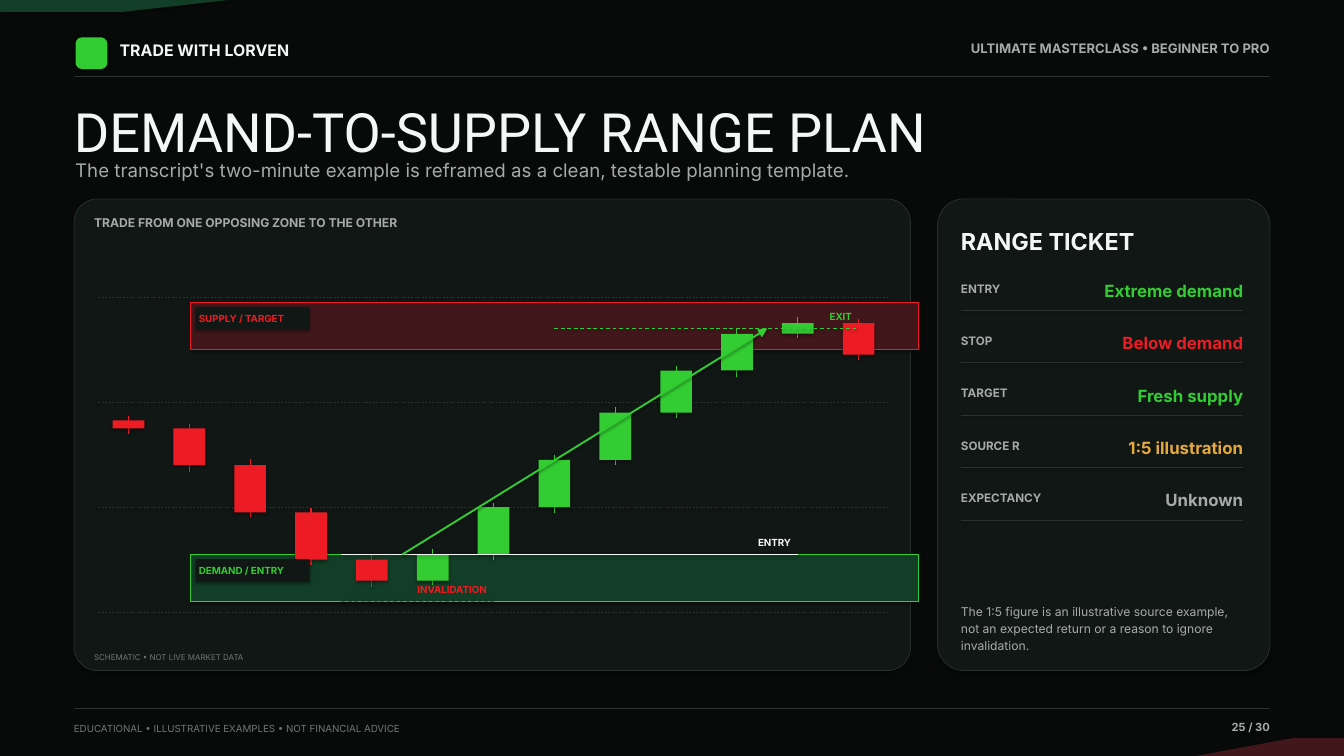
from lxml import etree
from pptx import Presentation
from pptx import util as u
from pptx.dml.color import RGBColor
from pptx.enum import dml, shapes, text
from pptx.oxml import ns

HUES = {
    "night": "070A09", "panel": "111715", "rule": "28332E",
    "white": "F5F7F6", "grey": "A6AAA8", "dim": "6F7873",
    "green": "33CC33", "red": "ED1C24", "gold": "E6A93D",
    "forest": "123D26", "wine": "42171B",
}
LEFT, RIGHT = 79.2, 1360.8
CANDLES = [
    (36.5, 35, 37.3, 34), (35, 28, 35.9, 26.7), (28, 19, 29.2, 18.2),
    (19, 10, 19.8, 9), (10, 6, 11, 4.9), (6, 11, 12.1, 5.2),
    (11, 20, 20.8, 10), (20, 29, 29.9, 18.8), (29, 38, 39.1, 28.1),
    (38, 46, 46.8, 37), (46, 53, 54, 44.8), (53, 55, 56.2, 52.2),
    (55, 49, 55.8, 48),
]
ZONES = [
    (2, 11, "DEMAND / ENTRY", "forest", "green"),
    (50, 59, "SUPPLY / TARGET", "wine", "red"),
]
LEVELS = [
    (11, 3.5, 11, "ENTRY", "white", 1.1, False),
    (2, 3.5, 6, "INVALIDATION", "red", 1, True),
    (54, 7, 12, "EXIT", "green", 1, True),
]
TICKET = [
    ("ENTRY", "Extreme demand", "green"),
    ("STOP", "Below demand", "red"),
    ("TARGET", "Fresh supply", "green"),
    ("SOURCE R", "1:5 illustration", "gold"),
    ("EXPECTANCY", "Unknown", "grey"),
]
NOTE = ("The 1:5 figure is an illustrative source example,\n"
        "not an expected return or a reason to ignore\n"
        "invalidation.")


def hue(name):
    return RGBColor.from_string(HUES[name])


def slot_x(slot):
    return 137.6 + 65.2 * slot


def price_y(price):
    return 656 - 5.63 * price


def add_shade(item, alpha, drop):
    props = item._element.spPr
    list_tag = ns.qn("a:effectLst")
    effects = props.find(list_tag)
    if effects is None:
        effects = etree.SubElement(props, list_tag)
    shade = etree.SubElement(
        effects, ns.qn("a:outerShdw"), blurRad=str(u.Pt(3.1)),
        dist=str(u.Pt(drop)), dir="5400000", algn="ctr", rotWithShape="0")
    tint = etree.SubElement(shade, ns.qn("a:srgbClr"), val="000000")
    etree.SubElement(tint, ns.qn("a:alpha"), val=str(alpha * 1000))


def paint(item, fill, edge=None, weight=0.8):
    item.fill.solid()
    item.fill.fore_color.rgb = hue(fill)
    if edge:
        item.line.color.rgb = hue(edge)
        item.line.width = u.Pt(weight)
    else:
        item.line.fill.background()
    item.shadow.inherit = False
    add_shade(item, 35, 1.8)


def add_box(slide, x, y, w, h, fill, edge=None, weight=0.8, round_by=0):
    kind = shapes.MSO_SHAPE.ROUNDED_RECTANGLE if round_by else shapes.MSO_SHAPE.RECTANGLE
    box = slide.shapes.add_shape(kind, u.Pt(x), u.Pt(y), u.Pt(w), u.Pt(h))
    if round_by:
        box.adjustments[0] = round_by
    paint(box, fill, edge, weight)


def add_edge(slide, points, fill):
    spots = [(u.Pt(x), u.Pt(y)) for x, y in points]
    form = slide.shapes.build_freeform(*spots[0])
    form.add_line_segments(spots[1:], close=True)
    paint(form.convert_to_shape(), fill)


def add_line(slide, x1, y1, x2, y2, color, weight, dash=False, arrow=False):
    line = slide.shapes.add_connector(
        shapes.MSO_CONNECTOR.STRAIGHT, u.Pt(x1), u.Pt(y1), u.Pt(x2), u.Pt(y2))
    line.line.color.rgb = hue(color)
    line.line.width = u.Pt(weight)
    if dash:
        line.line.dash_style = dml.MSO_LINE.DASH
    if arrow:
        etree.SubElement(line.line._get_or_add_ln(), ns.qn("a:tailEnd"),
                         type="triangle", w="lg", len="lg")
    add_shade(line, 38, 1.6)


def add_text(slide, x, y, w, h, words, size, color, bold=False,
             right=False, font="Inter", space=1.18):
    frame = slide.shapes.add_textbox(u.Pt(x), u.Pt(y), u.Pt(w), u.Pt(h)).text_frame
    frame.word_wrap = True
    frame.margin_left = frame.margin_right = 0
    frame.margin_top = frame.margin_bottom = 0
    frame.text = words
    for para in frame.paragraphs:
        para.alignment = text.PP_ALIGN.RIGHT if right else text.PP_ALIGN.LEFT
        para.line_spacing = space
        for run in para.runs:
            run.font.name = font
            run.font.size = u.Pt(size)
            run.font.bold = bold
            run.font.color.rgb = hue(color)


def add_frame(slide):
    add_edge(slide, [(0, 0), (244.8, 0), (129.6, 13), (0, 13)], "forest")
    add_edge(slide, [(1440, 810), (1281.6, 810), (1386, 790.6), (1440, 790.6)], "wine")
    add_box(slide, 81, 40, 34, 34, "green", round_by=0.2)
    add_text(slide, 128.2, 40.3, 280.8, 24.5, "TRADE WITH LORVEN", 17, "white", True)
    add_text(slide, 1008, 40.3, 352.8, 23, "ULTIMATE MASTERCLASS • BEGINNER TO PRO",
             14, "grey", True, True)
    for y in (81.4, 758.9):
        add_line(slide, LEFT, y, RIGHT, y, "rule", 0.8)
    add_text(slide, LEFT, 771.8, 576, 18,
             "EDUCATIONAL • ILLUSTRATIVE EXAMPLES • NOT FINANCIAL ADVICE", 10.5, "dim")
    add_text(slide, 1238.4, 769, 122.4, 20, "25 / 30", 12, "grey", True, True)
    add_text(slide, LEFT, 105.1, 1281.6, 63.4, "DEMAND-TO-SUPPLY RANGE PLAN",
             58, "white", font="Roboto", space=1)
    add_text(slide, 80.6, 165.6, 1238.4, 31,
             "The transcript's two-minute example is reframed as a clean, "
             "testable planning template.", 20, "grey")


def add_candle(slide, slot, start, end, high, low):
    color = "green" if end > start else "red"
    x, top = slot_x(slot), price_y(max(start, end))
    add_line(slide, x, price_y(high), x, price_y(low), color, 1.15)
    add_box(slide, x - 17, top, 34, price_y(min(start, end)) - top, color)


def add_range(slide):
    add_box(slide, LEFT, 213.1, 896.4, 505.4, "panel", "rule", round_by=0.05)
    add_text(slide, 100.8, 227.5, 853.2, 20,
             "TRADE FROM ONE OPPOSING ZONE TO THE OTHER", 13, "grey", True)
    for price in range(0, 61, 20):
        add_line(slide, 105.1, price_y(price), 952.6, price_y(price), "rule", 0.55, True)
    add_text(slide, 100.8, 697, 853.2, 13, "SCHEMATIC • NOT LIVE MARKET DATA", 8.5, "dim")
    for low, high, _, fill, color in ZONES:
        add_box(slide, 204.5, price_y(high), 779.8, price_y(low) - price_y(high),
                fill, color, 0.9)
    for slot, candle in enumerate(CANDLES):
        add_candle(slide, slot, *candle)
    for _, high, name, _, color in ZONES:
        y = price_y(high)
        add_box(slide, 209.5, y + 5, 122.4, 24.5, "panel")
        add_text(slide, 213.1, y + 8.6, 115.2, 18, name, 10.5, color, True)
    for price, start, end, name, color, weight, dash in LEVELS:
        y = price_y(price)
        add_line(slide, slot_x(start), y, slot_x(end), y, color, weight, dash)
        add_text(slide, slot_x(end) - 118.8, y - 21.6, 111.6, 17.3, name,
                 10.5, color, True, True)
    add_line(slide, slot_x(4.5), price_y(11), slot_x(10.5), price_y(54),
             "green", 2, arrow=True)


def add_ticket(slide):
    left, right = 1029.6, 1332
    add_box(slide, 1004.4, 213.1, 356.4, 505.4, "panel", "rule", round_by=0.08)
    add_text(slide, left, 237.6, 306, 39.6, "RANGE TICKET", 25, "white", True)
    for row, (name, value, color) in enumerate(TICKET):
        y = 298.8 + 56.16 * row
        add_text(slide, left, y, 104.4, 20, name, 12.5, "grey", True)
        add_text(slide, 1137.6, y - 2.2, 194.4, 26, value, 18, color, True, True)
        add_line(slide, left, y + 33.8, right, y + 33.8, "rule", 0.7)
    add_text(slide, left, 644.4, 310, 49, NOTE, 13, "grey")


def main():
    deck = Presentation()
    deck.slide_width, deck.slide_height = u.Pt(1440), u.Pt(810)
    slide = deck.slides.add_slide(deck.slide_layouts[6])
    slide.background.fill.solid()
    slide.background.fill.fore_color.rgb = hue("night")
    add_frame(slide)
    add_range(slide)
    add_ticket(slide)
    deck.save("out.pptx")


if __name__ == "__main__":
    main()
